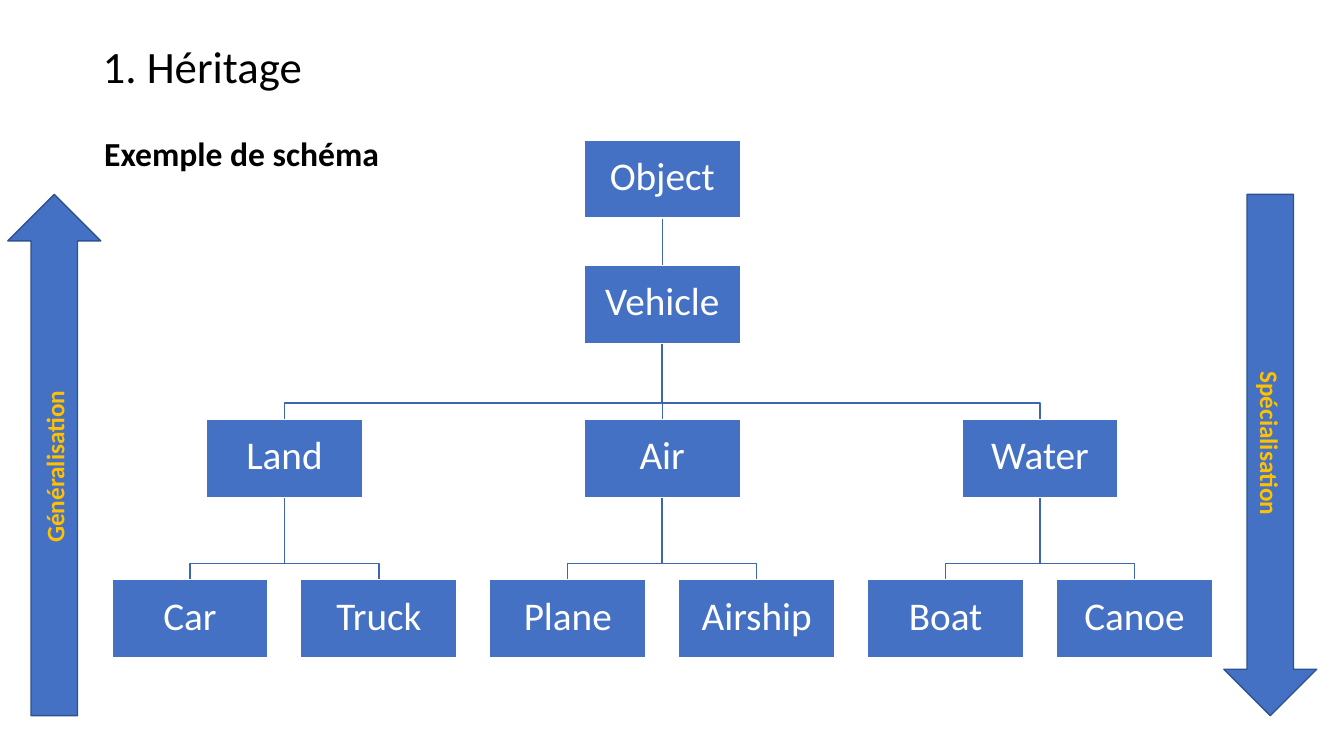
from pptx import Presentation
from pptx.dml.color import RGBColor
from pptx.enum.shapes import MSO_CONNECTOR, MSO_SHAPE
from pptx.enum.text import MSO_ANCHOR, MSO_AUTO_SIZE, PP_ALIGN
from pptx.oxml.ns import qn
from pptx.util import Pt
from lxml import etree

BLUE = RGBColor(0x44, 0x71, 0xC4)
LINK = RGBColor(0x3C, 0x67, 0xB0)
EDGE = RGBColor(0x2E, 0x52, 0x8F)
GOLD = RGBColor(0xFF, 0xC0, 0x00)
WHITE = RGBColor(0xFF, 0xFF, 0xFF)
BLACK = RGBColor(0x00, 0x00, 0x00)

LEFT, CENTER = PP_ALIGN.LEFT, PP_ALIGN.CENTER
TOP, MIDDLE = MSO_ANCHOR.TOP, MSO_ANCHOR.MIDDLE
FIXED = MSO_AUTO_SIZE.NONE
STRAIGHT = MSO_CONNECTOR.STRAIGHT
RECT, UP, DOWN = MSO_SHAPE.RECTANGLE, MSO_SHAPE.UP_ARROW, MSO_SHAPE.DOWN_ARROW

TITLE = "1. Héritage"
HEAD = "Exemple de schéma"
# Each row holds (name, parent, column); columns count in leaf steps.
ROWS = [
    [("Object", None, 2.5)],
    [("Vehicle", "Object", 2.5)],
    [("Land", "Vehicle", 0.5), ("Air", "Vehicle", 2.5), ("Water", "Vehicle", 4.5)],
    [("Car", "Land", 0), ("Truck", "Land", 1), ("Plane", "Air", 2),
     ("Airship", "Air", 3), ("Boat", "Water", 4), ("Canoe", "Water", 5)],
]
ARROWS = [("Généralisation", UP, 5.6, "vert270"),
          ("Spécialisation", DOWN, 874.2, "vert")]

TOPS = [100, 189.5, 299.5, 414]
FIRST, STEP = 135.7, 134.93
BOX_W, BOX_H = 111.6, 55.9
DROP = 11.7
ARROW_TOP, ARROW_W, ARROW_H = 138.8, 66.4, 372.4

TITLE_FONT = {"name": "Calibri", "size": Pt(32), "bold": False}
HEAD_FONT = {"name": "Calibri", "size": Pt(24), "bold": True}
NODE_FONT = {"name": "Calibri", "size": Pt(28), "bold": False}
ARROW_FONT = {"name": "Calibri", "size": Pt(18), "bold": True}


def write(shape, text, font, color, align, anchor):
    frame = shape.text_frame
    frame.text = text
    frame.auto_size = FIXED
    frame.vertical_anchor = anchor
    para = frame.paragraphs[0]
    para.alignment = align
    para.space_before = Pt(0)
    run = para.runs[0]
    for key, value in font.items():
        setattr(run.font, key, value)
    run.font.color.rgb = color
    return frame


def place(shape, *box):
    for key, value in zip(("left", "top", "width", "height"), box):
        setattr(shape, key, Pt(value))


def block(kind, box, edge):
    """Add a blue preset shape."""
    shape = shapes.add_shape(kind, *map(Pt, box))
    shape.shadow.inherit = False
    shape.fill.solid()
    shape.fill.fore_color.rgb = BLUE
    shape.line.color.rgb = edge
    shape.line.width = Pt(1)
    return shape


def link(x1, y1, x2, y2):
    """Join a parent's foot to a child's top, bending just above the child."""
    if x1 == x2:
        line = shapes.add_connector(STRAIGHT, Pt(x1), Pt(y1), Pt(x2), Pt(y2))
        etree.SubElement(line._element.spPr, qn("a:effectLst"))
    else:
        bend = y2 - DROP
        path = shapes.build_freeform(Pt(x1), Pt(y1))
        turns = [(x1, bend), (x2, bend), (x2, y2)]
        path.add_line_segments([(Pt(x), Pt(y)) for x, y in turns], close=False)
        line = path.convert_to_shape()
        line.fill.background()
        line.shadow.inherit = False
    line.line.color.rgb = LINK
    line.line.width = Pt(1)


deck = Presentation()
deck.slide_width, deck.slide_height = Pt(960), Pt(540)
slide = deck.slides.add_slide(deck.slide_layouts[1])
shapes = slide.shapes

title, body = shapes.title, slide.placeholders[1]
place(title, 66.2, 26.8, 828, 45.4)
place(body, 67.2, 91.4, 828, 66)
frame = write(title, TITLE, TITLE_FONT, BLACK, LEFT, MIDDLE)
frame.paragraphs[0].line_spacing = 0.9
frame = write(body, HEAD, HEAD_FONT, BLACK, LEFT, TOP)
props = frame.paragraphs[0]._p.get_or_add_pPr()
props.set("marL", "0")
props.set("indent", "0")
etree.SubElement(props, qn("a:buNone"))

spots = {name: (FIRST + col * STEP, top)
         for top, row in zip(TOPS, ROWS) for name, _, col in row}
for row in ROWS[1:]:
    for name, parent, _ in row:
        x, y = spots[parent]
        link(x, y + BOX_H, *spots[name])

for name, (x, y) in spots.items():
    node = block(RECT, (x - BOX_W / 2, y, BOX_W, BOX_H), WHITE)
    frame = write(node, name, NODE_FONT, WHITE, CENTER, MIDDLE)
    frame.margin_left = frame.margin_right = frame.margin_top = 0
    frame.margin_bottom = Pt(6)

for text, kind, x, turn in ARROWS:
    arrow = block(kind, (x, ARROW_TOP, ARROW_W, ARROW_H), EDGE)
    frame = write(arrow, text, ARROW_FONT, GOLD, CENTER, MIDDLE)
    for side in ("left", "right", "top", "bottom"):
        setattr(frame, "margin_" + side, 0)
    frame._txBody.bodyPr.set("vert", turn)

deck.save("out.pptx")
